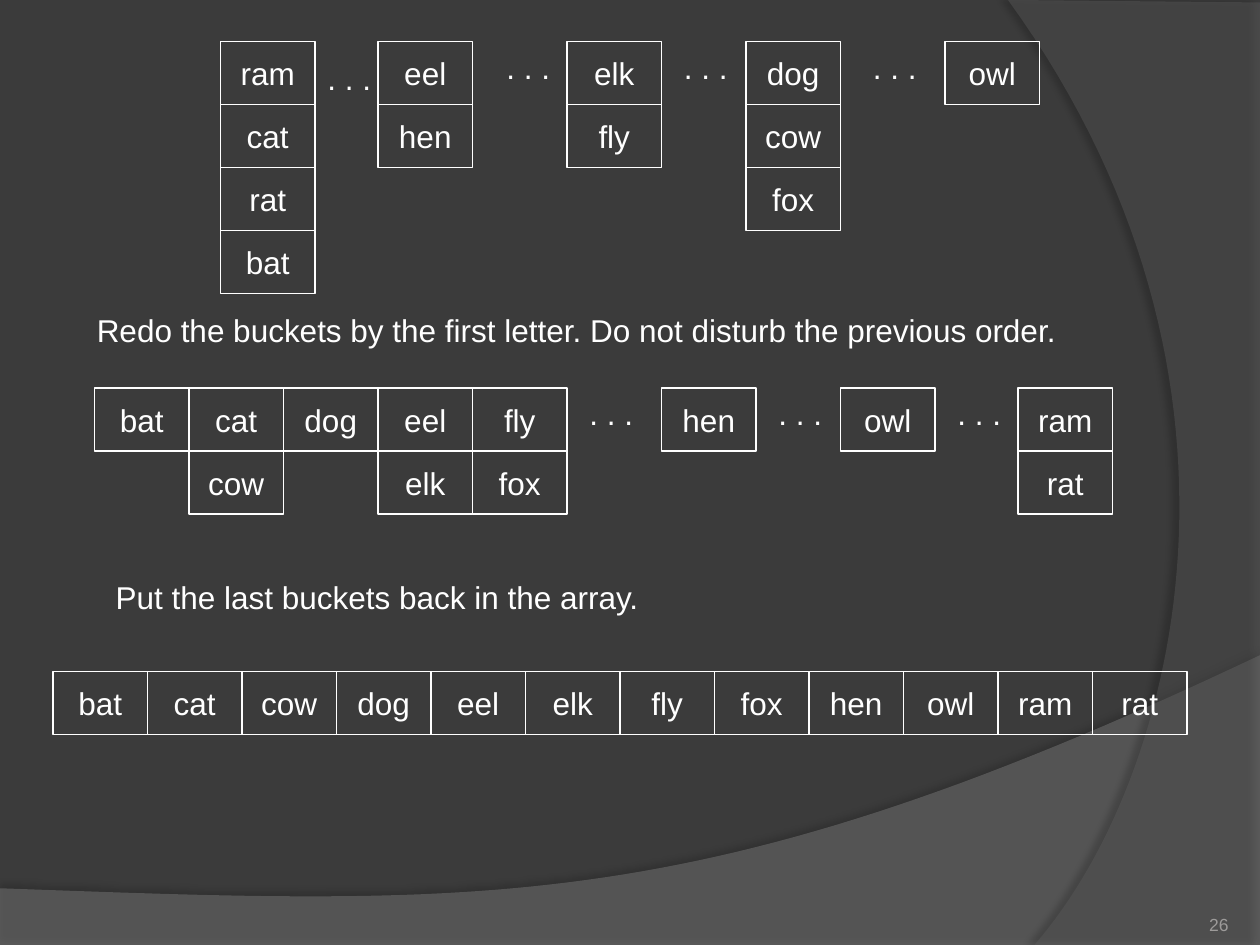
from lxml import etree
from pptx import Presentation
from pptx import util as u
from pptx.dml.color import RGBColor
from pptx.enum import shapes, text
from pptx.oxml.ns import qn

COLORS = {"background": "3B3B3B", "wave": "7F7F7F", "arc": "5E5E5E",
          "shadow": "000000", "white": "FFFFFF", "number": "9D9B9A"}
CELL_W, CELL_H = 0.75, 0.5
TOP_Y, MIDDLE_Y, ARRAY_Y = 0.33, 3.08, 5.33


def bezier(p0, p1, p2, p3, steps=60):
    """Return points along a cubic curve, both ends included."""
    points = []
    for i in range(steps + 1):
        t = i / steps
        weights = ((1 - t) ** 3, 3 * t * (1 - t) ** 2, 3 * t * t * (1 - t), t ** 3)
        points.append(tuple(sum(w * p[axis] for w, p in zip(weights, (p0, p1, p2, p3)))
                            for axis in (0, 1)))
    return points


def write(sp, words, size=18, color="white", align=text.PP_ALIGN.LEFT):
    tf = sp.text_frame
    tf.text = words
    tf.word_wrap = False
    p = tf.paragraphs[0]
    p.alignment = align
    font = p.runs[0].font
    font.name = "Arial"
    font.size = u.Pt(size)
    font.color.rgb = RGBColor.from_string(COLORS[color])
    return tf


prs = Presentation()
prs.slide_width, prs.slide_height = u.Inches(10), u.Inches(7.5)
s = prs.slides.add_slide(prs.slide_layouts[6])
s.background.fill.solid()
s.background.fill.fore_color.rgb = RGBColor.from_string(COLORS["background"])

# Background sweeps: outline, colour, opacity %, shadow opacity %, distance, direction
wave = [(0, 7.05), (0, 7.51), (10, 7.51)] + bezier((10, 5.2), (5.59, 7.29), (3.91, 7.19), (0, 7.05))
arc = [(10, 0.02), (10, 7.5)] + bezier((8.21, 7.5), (9.35, 6.19), (10.18, 3), (8, 0))
for outline, color, opacity, shade, distance, direction in (
        (wave, "wave", 45, 35, 3.5, 270), (arc, "arc", 40, 45, 4, 180)):
    points = [(u.Inches(x), u.Inches(y)) for x, y in outline]
    builder = s.shapes.build_freeform(*points[0])
    builder.add_line_segments(points[1:], close=True)
    sp = builder.convert_to_shape()
    sp.fill.solid()
    sp.fill.fore_color.rgb = RGBColor.from_string(COLORS[color])
    sp.line.fill.background()
    sp.shadow.inherit = False
    spPr = sp._element.spPr
    fill_color = spPr.find(qn("a:solidFill")).find(qn("a:srgbClr"))
    etree.SubElement(fill_color, qn("a:alpha"), val=str(opacity * 1000))
    shadow = etree.SubElement(spPr.find(qn("a:effectLst")), qn("a:outerShdw"),
                              blurRad=str(u.Pt(4)), dist=str(u.Pt(distance)),
                              dir=str(direction * 60000), rotWithShape="0")
    shadow_color = etree.SubElement(shadow, qn("a:srgbClr"), val=COLORS["shadow"])
    etree.SubElement(shadow_color, qn("a:alpha"), val=str(shade * 1000))

# Buckets: left, top, words from top to bottom
buckets = [
    (1.75, TOP_Y, "ram cat rat bat"), (3, TOP_Y, "eel hen"), (4.5, TOP_Y, "elk fly"),
    (5.92, TOP_Y, "dog cow fox"), (7.5, TOP_Y, "owl"),
    (0.75, MIDDLE_Y, "bat"), (1.5, MIDDLE_Y, "cat cow"), (2.25, MIDDLE_Y, "dog"),
    (3, MIDDLE_Y, "eel elk"), (3.75, MIDDLE_Y, "fly fox"), (5.25, MIDDLE_Y, "hen"),
    (6.67, MIDDLE_Y, "owl"), (8.08, MIDDLE_Y, "ram rat"),
]
sorted_words = "bat cat cow dog eel elk fly fox hen owl ram rat".split()
buckets += [(0.42 + i * CELL_W, ARRAY_Y, word) for i, word in enumerate(sorted_words)]

for left, top, words in buckets:
    for row, word in enumerate(words.split()):
        sp = s.shapes.add_shape(shapes.MSO_SHAPE.RECTANGLE, u.Inches(left),
                                u.Inches(top + row * CELL_H), u.Inches(CELL_W), u.Inches(CELL_H))
        sp.shadow.inherit = False
        sp.fill.background()
        sp.line.color.rgb = RGBColor.from_string(COLORS["white"])
        sp.line.width = u.Pt(0.75)
        tf = write(sp, word, align=text.PP_ALIGN.CENTER)
        tf.vertical_anchor = text.MSO_ANCHOR.MIDDLE

# Captions and the dots between buckets: left, top, width, words
labels = [
    (0.67, 2.42, 7.84, "Redo the buckets by the first letter. Do not disturb the previous order."),
    (0.82, 4.54, 4.44, "Put the last buckets back in the array."),
]
labels += [(left, top, 0.55, ". . .") for left, top in (
    (2.5, 0.42), (3.92, TOP_Y), (5.33, TOP_Y), (6.83, TOP_Y),
    (4.58, MIDDLE_Y), (6.08, MIDDLE_Y), (7.5, MIDDLE_Y))]
for left, top, width, words in labels:
    sp = s.shapes.add_textbox(u.Inches(left), u.Inches(top), u.Inches(width), u.Inches(0.4))
    write(sp, words).auto_size = text.MSO_AUTO_SIZE.SHAPE_TO_FIT_TEXT

sp = s.shapes.add_textbox(u.Inches(8.92), u.Inches(7.02), u.Inches(0.83), u.Inches(0.4))
tf = write(sp, "26", 10, "number", text.PP_ALIGN.RIGHT)
tf.word_wrap = True
tf.vertical_anchor = text.MSO_ANCHOR.BOTTOM
tf.margin_left = tf.margin_right = tf.margin_top = tf.margin_bottom = 0

prs.save("out.pptx")
